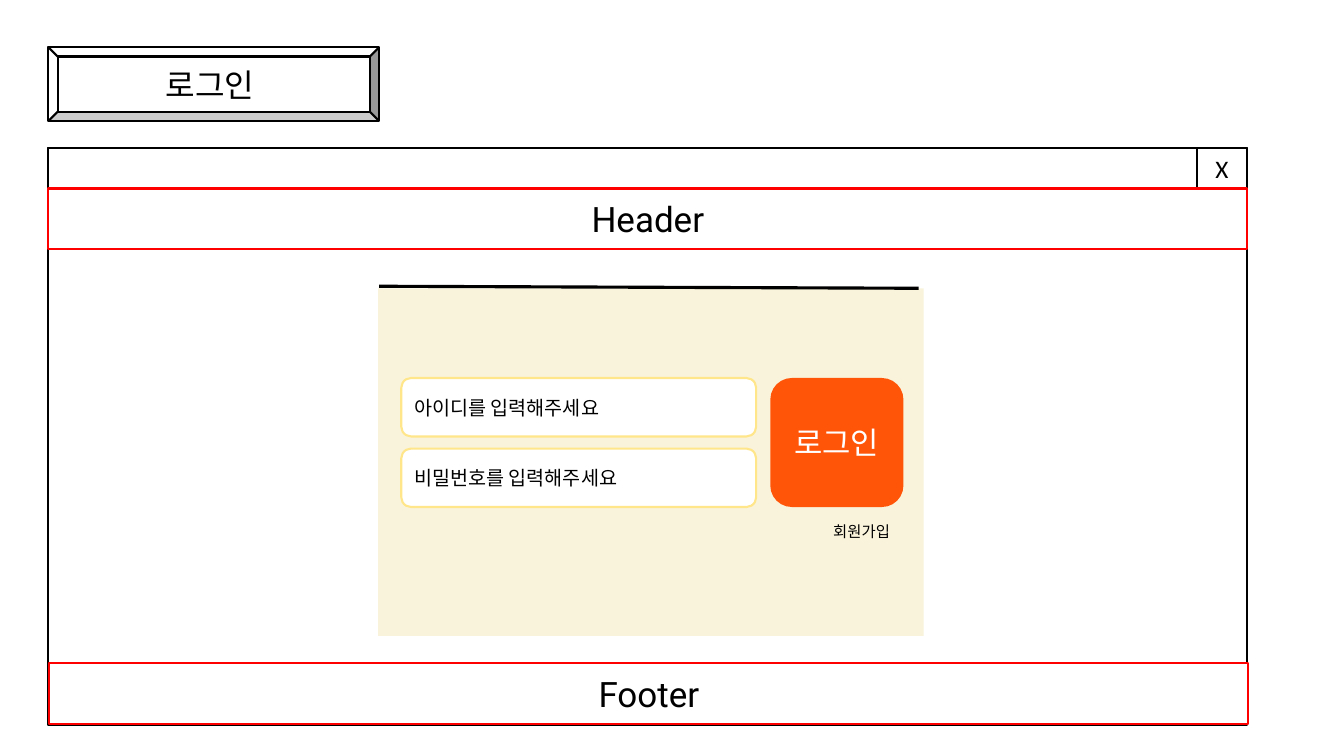
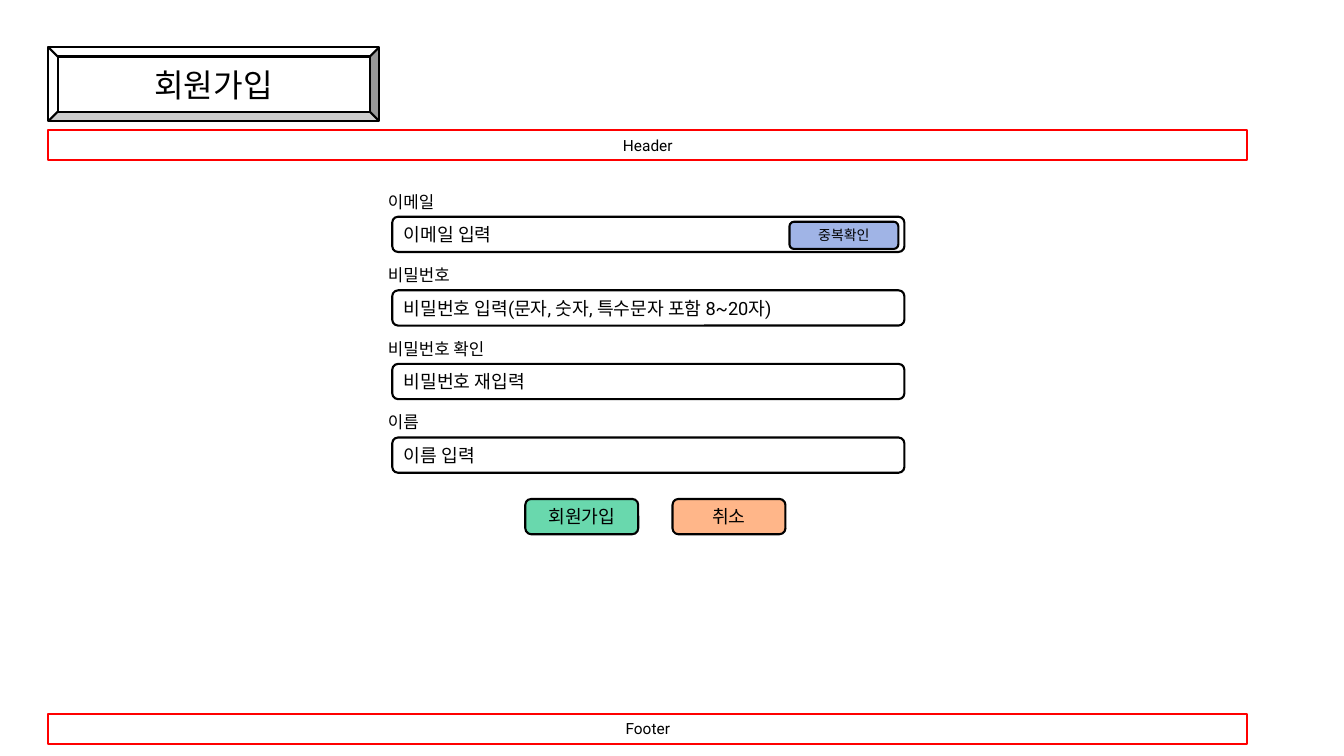
"""Build two wireframe slides: a login page and a sign-up page."""
from lxml.etree import SubElement
from pptx import Presentation
from pptx.dml.color import RGBColor
from pptx.enum.shapes import MSO_CONNECTOR, MSO_SHAPE
from pptx.enum.text import MSO_ANCHOR, MSO_AUTO_SIZE, PP_ALIGN
from pptx.oxml.ns import qn
from pptx.util import Emu, Pt

PX = 9144
SLIDE_WIDTH, SLIDE_HEIGHT = 1333, 750
PAGE_LEFT, PAGE_WIDTH = 48, 1189
TITLE_BOX = (PAGE_LEFT, 47, 328, 73)
COLORS = {
    "black": "000000",
    "white": "FFFFFF",
    "red": "FF0000",
    "cream": "FAF3DB",
    "yellow": "FFE68B",
    "orange": "FF5509",
    "blue": "A0B4E6",
    "green": "69D8AD",
    "peach": "FFB689",
}


def to_emu(*lengths):
    return [Emu(length * PX) for length in lengths]


def color(name):
    return RGBColor.from_string(COLORS[name])


def write_text(shape, text, size=11, font="Roboto", ink="black",
               align=PP_ALIGN.CENTER, anchor=MSO_ANCHOR.MIDDLE):
    frame = shape.text_frame
    frame.word_wrap = True
    frame.auto_size = MSO_AUTO_SIZE.NONE
    frame.vertical_anchor = anchor
    paragraph = frame.paragraphs[0]
    paragraph.alignment = align
    run = paragraph.add_run()
    run.text = text
    run.font.size = Pt(size)
    run.font.name = font
    run.font.color.rgb = color(ink)


def add_box(slide, box, text="", kind=MSO_SHAPE.RECTANGLE, fill="white",
            line="black", **text_format):
    shape = slide.shapes.add_shape(kind, *to_emu(*box))
    shape.shadow.inherit = False
    shape.fill.solid()
    shape.fill.fore_color.rgb = color(fill)
    if line:
        shape.line.color.rgb = color(line)
        shape.line.width = Pt(1.5)
    else:
        shape.line.fill.background()
    if text:
        write_text(shape, text, **text_format)
    return shape


def add_label(slide, box, text, **text_format):
    write_text(slide.shapes.add_textbox(*to_emu(*box)), text, **text_format)


def add_line(slide, start, end, width):
    connector = slide.shapes.add_connector(
        MSO_CONNECTOR.STRAIGHT, *to_emu(*start, *end))
    connector.line.color.rgb = color("black")
    connector.line.width = Pt(width)
    SubElement(connector._element.spPr, qn("a:effectLst"))


def add_titled_slide(presentation, title_text):
    slide = presentation.slides.add_slide(presentation.slide_layouts[5])
    bevel = add_box(slide, TITLE_BOX, kind=MSO_SHAPE.BEVEL)
    title = slide.shapes.title
    title.left, title.top, title.width, title.height = to_emu(*TITLE_BOX)
    write_text(title, title_text, size=23)
    bevel._element.addnext(title._element)
    return slide


def add_band(slide, box, text, size):
    add_box(slide, box, text, line="red", size=size)


def add_browser_window(slide, box):
    left, top, width, height = box
    bar, close, band = 40, 50, 60
    add_box(slide, box)
    add_box(slide, (left, top, width, bar))
    add_box(slide, (left + width - close, top, close, bar), "X",
            size=18, font="Calibri")
    add_band(slide, (left, top + bar, width, band), "Header", 25)
    add_band(slide, (left + 1, top + height - band - 1, width, band),
             "Footer", 25)


def add_login_panel(slide, box):
    left, top, width, height = box
    add_box(slide, box, fill="cream", line=None)
    input_top, input_height, pitch = top + 89, 58, 70
    prompts = ("아이디를 입력해주세요", "비밀번호를 입력해주세요")
    for index, prompt in enumerate(prompts):
        add_box(slide,
                (left + 23, input_top + index * pitch, 352, input_height),
                prompt, kind=MSO_SHAPE.FLOWCHART_ALTERNATE_PROCESS,
                line="yellow", size=14, align=PP_ALIGN.LEFT)
    add_box(slide, (left + 389, input_top, 132, pitch + input_height), "로그인",
            kind=MSO_SHAPE.FLOWCHART_ALTERNATE_PROCESS, fill="orange",
            line=None, size=22, ink="white")
    add_label(slide, (left + 199, top + 227, 322, 29), "회원가입 ",
              align=PP_ALIGN.RIGHT)
    add_line(slide, (left + 1, top - 2), (left + width - 5, top), 2.25)


def add_button(slide, box, text, fill, size=13):
    add_box(slide, box, text, kind=MSO_SHAPE.ROUNDED_RECTANGLE, fill=fill,
            size=size)


def add_field(slide, box, label, prompt):
    left, top, width, height = box
    add_label(slide, (left - 14, top, 126, 29), label, size=12,
              font="Calibri", align=PP_ALIGN.LEFT, anchor=MSO_ANCHOR.TOP)
    add_box(slide, (left, top + 30, width, height - 30), prompt,
            kind=MSO_SHAPE.ROUNDED_RECTANGLE, size=13, align=PP_ALIGN.LEFT)


def add_signup_form(slide, box):
    left, top, width, height = box
    fields = (
        ("이메일", "이메일 입력"),
        ("비밀번호", "비밀번호 입력(문자, 숫자, 특수문자 포함 8~20자)"),
        ("비밀번호 확인", "비밀번호 재입력"),
        ("이름", "이름 입력"),
    )
    for index, (label, prompt) in enumerate(fields):
        add_field(slide, (left, top + index * 73, width, 65), label, prompt)
    add_button(slide, (left + width - 114, top + 35, 108, 27), "중복확인",
               "blue", size=10)
    actions = (("회원가입", "green"), ("취소", "peach"))
    for index, (text, fill) in enumerate(actions):
        add_button(slide,
                   (left + 132 + index * 146, top + height - 35, 112, 35),
                   text, fill)


def build_login_slide(presentation):
    slide = add_titled_slide(presentation, "로그인 ")
    add_browser_window(slide, (PAGE_LEFT, 147, PAGE_WIDTH, 572))
    add_login_panel(slide, (375, 286, 541, 345))


def build_signup_slide(presentation):
    slide = add_titled_slide(presentation, "회원가입")
    for text, top in (("Header", 129), ("Footer", 708)):
        add_band(slide, (PAGE_LEFT, top, PAGE_WIDTH, 30), text, 11)
    add_signup_form(slide, (389, 185, 508, 345))


def main():
    presentation = Presentation()
    presentation.slide_width, presentation.slide_height = to_emu(
        SLIDE_WIDTH, SLIDE_HEIGHT)
    build_login_slide(presentation)
    build_signup_slide(presentation)
    presentation.save("out.pptx")


if __name__ == "__main__":
    main()
